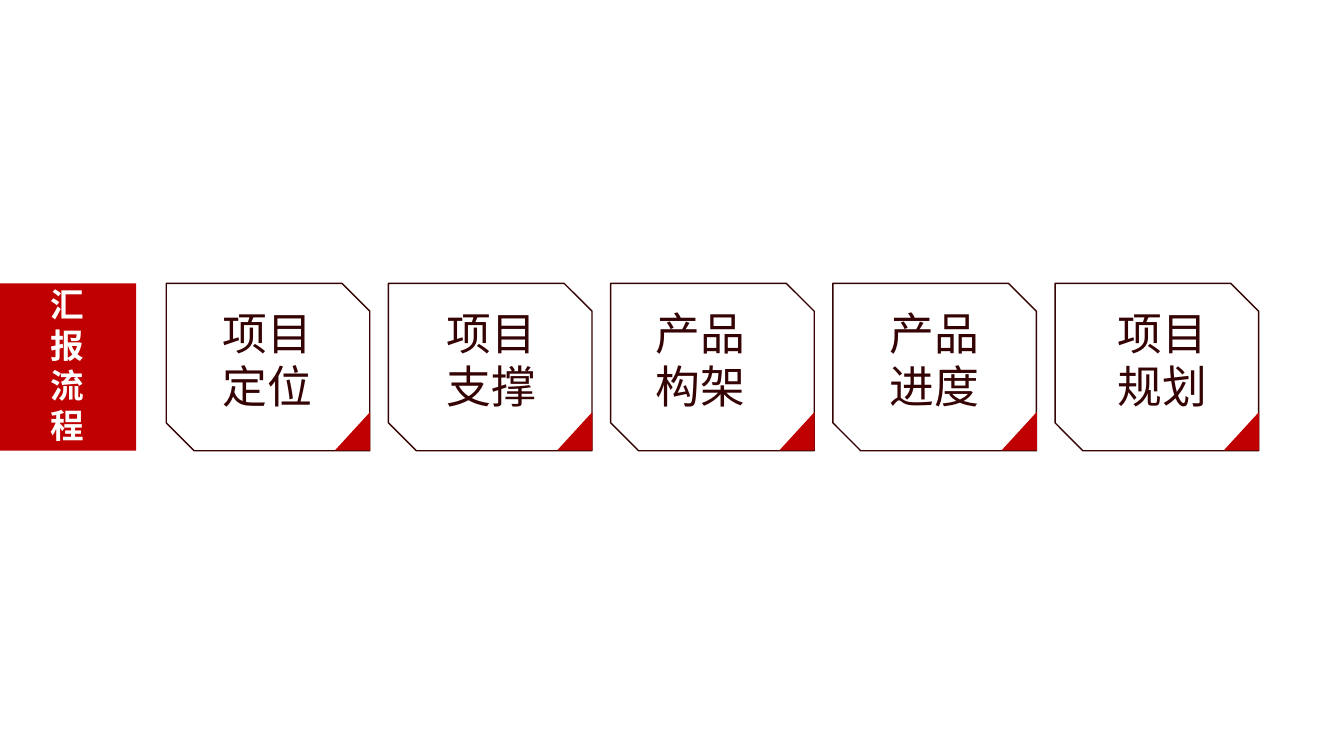
from pptx import Presentation
from pptx import util as u
from pptx.dml.color import RGBColor
from pptx.enum import shapes, text
from pptx.oxml.ns import qn
from lxml import etree

RED = RGBColor(0xC0, 0x00, 0x00)
DARK = RGBColor(0x35, 0x03, 0x04)
WHITE = RGBColor(0xFF, 0xFF, 0xFF)

# Row of cards, in centimetres
TOP, HEIGHT = 7.14, 4.22
CARD_LEFT, CARD_WIDTH, CARD_STEP = 4.19, 5.13, 5.6

# Label lines, label left, label width
STEPS = [
    (["项目定位"], 5.36, 2.8),
    (["项目支撑"], 11.0, 2.8),
    (["产品构架"], 16.28, 2.8),
    (["产品进度"], 22.17, 2.8),
    (["项目", "规划"], 27.91, 4.72),
]


class Deck:
    font = "Noto Sans CJK JP"

    def __init__(self, prs):
        self.s = prs.slides.add_slide(prs.slide_layouts[6])

    def shape(self, kind, x, y, w, h, fill=None, line=None):
        sp = self.s.shapes.add_shape(kind, u.Cm(x), u.Cm(y), u.Cm(w), u.Cm(h))
        sp.shadow.inherit = False
        if fill is None:
            sp.fill.background()
        else:
            sp.fill.solid()
            sp.fill.fore_color.rgb = fill
        if line is None:
            sp.line.fill.background()
        else:
            sp.line.color.rgb = line
            sp.line.width = u.Pt(1)
        return sp

    def label(self, lines, x, y, w, h, size, color, bold=False):
        tf = self.s.shapes.add_textbox(u.Cm(x), u.Cm(y), u.Cm(w), u.Cm(h)).text_frame
        tf.word_wrap = True
        tf.auto_size = text.MSO_AUTO_SIZE.SHAPE_TO_FIT_TEXT
        tf.text = "\n".join(lines)
        for p in tf.paragraphs:
            for font in [p.font] + [r.font for r in p.runs]:
                font.name = self.font
            p.font.size = u.Pt(size)
            p.font.bold = bold
            p.font.color.rgb = color
            # Chinese glyphs take the East Asian typeface
            for r in p.runs:
                ea = etree.SubElement(r.font._element, qn("a:ea")) if hasattr(r.font, "_element") \
                    else etree.SubElement(r._r.get_or_add_rPr(), qn("a:ea"))
                ea.set("typeface", self.font)

    def card(self, x, lines, label_left, label_width):
        self.label(lines, label_left, 7.57, label_width, 3, 32, DARK)
        self.shape(shapes.MSO_SHAPE.SNIP_2_DIAG_RECTANGLE,
                   x, TOP, CARD_WIDTH, HEIGHT, line=DARK)
        corner = self.shape(shapes.MSO_SHAPE.RIGHT_TRIANGLE,
                            x + 4.21, 10.42, 0.97, 0.89, fill=RED)
        corner.rotation = 270


def main():
    prs = Presentation()
    prs.slide_width, prs.slide_height = u.Cm(33.87), u.Cm(19.05)
    deck = Deck(prs)

    # Heading block
    deck.shape(shapes.MSO_SHAPE.RECTANGLE, 0, TOP, 3.43, HEIGHT, fill=RED)
    deck.label(["汇报流程"], 1.02, 7.04, 1.93, 4.37, 24, WHITE, bold=True)

    # Step cards
    for i, step in enumerate(STEPS):
        deck.card(CARD_LEFT + i * CARD_STEP, *step)

    prs.save("out.pptx")


if __name__ == "__main__":
    main()
